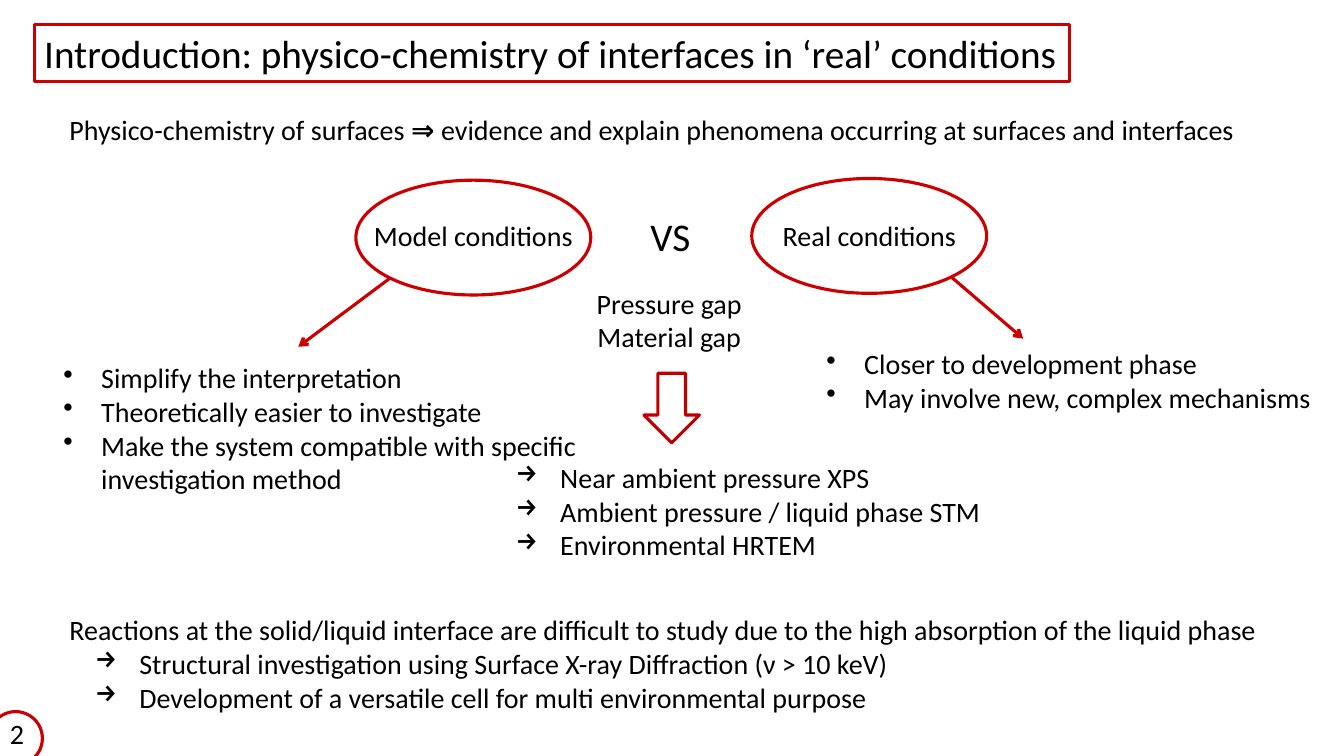
from dataclasses import dataclass

from lxml.etree import SubElement
from pptx import Presentation
from pptx.dml.color import RGBColor
from pptx.enum.shapes import MSO_CONNECTOR, MSO_SHAPE
from pptx.enum.text import MSO_ANCHOR, MSO_AUTO_SIZE, PP_ALIGN
from pptx.oxml.ns import qn
from pptx.shapes.autoshape import Shape
from pptx.slide import Slide
from pptx.util import Pt

BLACK = RGBColor(0x00, 0x00, 0x00)
RED = RGBColor(0xCC, 0x00, 0x00)
DARK_RED = RGBColor(0xC0, 0x00, 0x00)
FONT = "Calibri"
TITLE_SIZE = 28
BODY_SIZE = 20
LINE_WIDTH = 2.25


@dataclass(frozen=True)
class Box:
    left: float
    top: float
    width: float
    height: float


@dataclass(frozen=True)
class Bullet:
    char: str
    margin: float
    hang: float


@dataclass(frozen=True)
class Line:
    text: str
    bullet: Bullet | None = None


@dataclass(frozen=True)
class TextBlock:
    box: Box
    lines: tuple[Line, ...]
    size: float = BODY_SIZE
    align: PP_ALIGN = PP_ALIGN.LEFT


@dataclass(frozen=True)
class Outline:
    kind: MSO_SHAPE
    box: Box
    color: RGBColor = RED


@dataclass(frozen=True)
class Arrow:
    start: tuple[float, float]
    end: tuple[float, float]


DOT = Bullet("•", 27, 27)
STEP = Bullet("→", 31.7, 31.7)
INNER_STEP = Bullet("→", 50, 31.7)
BOLD_SYMBOL = "⇒"

TITLE = TextBlock(
    Box(24.5, 17.3, 739.5, 41),
    (Line("Introduction: physico-chemistry of interfaces in ‘real’ conditions"),),
    TITLE_SIZE,
)

OUTLINES = (
    Outline(MSO_SHAPE.OVAL, Box(254.2, 128.7, 167.8, 82)),
    Outline(MSO_SHAPE.OVAL, Box(537, 127.5, 167.8, 82)),
    Outline(MSO_SHAPE.DOWN_ARROW, Box(460, 266.6, 39.6, 49.7), DARK_RED),
    Outline(MSO_SHAPE.OVAL, Box(-7.9, 508.3, 38.2, 38.2)),
)

ARROWS = (
    Arrow((278.6, 198.7), (213.1, 247.7)),
    Arrow((679.7, 198), (730.8, 241.9)),
)

TEXT_BLOCKS = (
    # Opening statement and page number
    TextBlock(Box(42.5, 77, 873.4, 31.5), (
        Line("Physico-chemistry of surfaces ⇒ evidence and explain phenomena "
             "occurring at surfaces and interfaces"),
    )),
    TextBlock(Box(0, 508.3, 30.2, 31.5), (Line("2"),)),
    # The two kinds of conditions and the gaps between them
    TextBlock(Box(254.2, 152.6, 167.8, 31.5), (Line("Model conditions"),),
              align=PP_ALIGN.CENTER),
    TextBlock(Box(442.1, 148.3, 73.4, 41), (Line("VS"),),
              TITLE_SIZE, PP_ALIGN.CENTER),
    TextBlock(Box(544.3, 152.6, 153.4, 31.5), (Line("Real conditions"),),
              align=PP_ALIGN.CENTER),
    TextBlock(Box(415.4, 200.9, 125.3, 55.5),
              (Line("Pressure gap"), Line("Material gap")),
              align=PP_ALIGN.CENTER),
    # Advantages of each kind
    TextBlock(Box(38.2, 254.2, 486.7, 104.4), (
        Line("Simplify the interpretation", DOT),
        Line("Theoretically easier to investigate", DOT),
        Line("Make the system compatible with specific investigation method", DOT),
    )),
    TextBlock(Box(583.2, 244.1, 376.6, 55.5), (
        Line("Closer to development phase", DOT),
        Line("May involve new, complex mechanisms", DOT),
    )),
    # Methods that bridge the gaps
    TextBlock(Box(361.4, 325.4, 402.5, 80), (
        Line("Near ambient pressure XPS", STEP),
        Line("Ambient pressure / liquid phase STM", STEP),
        Line("Environmental HRTEM", STEP),
    )),
    # Solid/liquid interface
    TextBlock(Box(42.5, 434.2, 873.4, 80), (
        Line("Reactions at the solid/liquid interface are difficult to study "
             "due to the high absorption of the liquid phase"),
        Line("Structural investigation using Surface X-ray Diffraction "
             "(ν > 10 keV)", INNER_STEP),
        Line("Development of a versatile cell for multi environmental purpose",
             INNER_STEP),
    )),
)


def lengths(box: Box) -> tuple[Pt, Pt, Pt, Pt]:
    return Pt(box.left), Pt(box.top), Pt(box.width), Pt(box.height)


def write_text(shape: Shape, block: TextBlock) -> None:
    frame = shape.text_frame
    frame.word_wrap = True
    frame.auto_size = MSO_AUTO_SIZE.SHAPE_TO_FIT_TEXT
    frame.vertical_anchor = MSO_ANCHOR.TOP
    for index, line in enumerate(block.lines):
        paragraph = frame.add_paragraph() if index else frame.paragraphs[0]
        paragraph.alignment = block.align
        if line.bullet:
            properties = paragraph._p.get_or_add_pPr()
            properties.set("marL", str(Pt(line.bullet.margin)))
            properties.set("indent", str(-Pt(line.bullet.hang)))
            SubElement(properties, qn("a:buChar"), char=line.bullet.char)
        paragraph.font.name = FONT
        paragraph.font.size = Pt(block.size)
        paragraph.font.color.rgb = BLACK
        before, symbol, after = line.text.partition(BOLD_SYMBOL)
        for part in filter(None, (before, symbol, after)):
            run = paragraph.add_run()
            run.text = part
            if part == BOLD_SYMBOL:
                run.font.bold = True


def draw_outline(slide: Slide, outline: Outline) -> Shape:
    shape = slide.shapes.add_shape(outline.kind, *lengths(outline.box))
    shape.shadow.inherit = False
    shape.fill.background()
    shape.line.color.rgb = outline.color
    shape.line.width = Pt(LINE_WIDTH)
    return shape


def draw_arrow(slide: Slide, arrow: Arrow) -> None:
    connector = slide.shapes.add_connector(
        MSO_CONNECTOR.STRAIGHT, *map(Pt, arrow.start + arrow.end))
    connector.line.color.rgb = RED
    connector.line.width = Pt(LINE_WIDTH)
    SubElement(connector.line._get_or_add_ln(), qn("a:tailEnd"), type="arrow")
    SubElement(connector._element.spPr, qn("a:effectLst"))


def main() -> None:
    presentation = Presentation()
    presentation.slide_width = Pt(960)
    presentation.slide_height = Pt(540)
    slide = presentation.slides.add_slide(presentation.slide_layouts[6])

    # Framed title
    write_text(draw_outline(slide, Outline(MSO_SHAPE.RECTANGLE, TITLE.box)), TITLE)

    # Ellipses, block arrow and thin arrows
    for outline in OUTLINES:
        draw_outline(slide, outline)
    for arrow in ARROWS:
        draw_arrow(slide, arrow)

    # Texts
    for block in TEXT_BLOCKS:
        write_text(slide.shapes.add_textbox(*lengths(block.box)), block)

    presentation.save("out.pptx")


if __name__ == "__main__":
    main()
